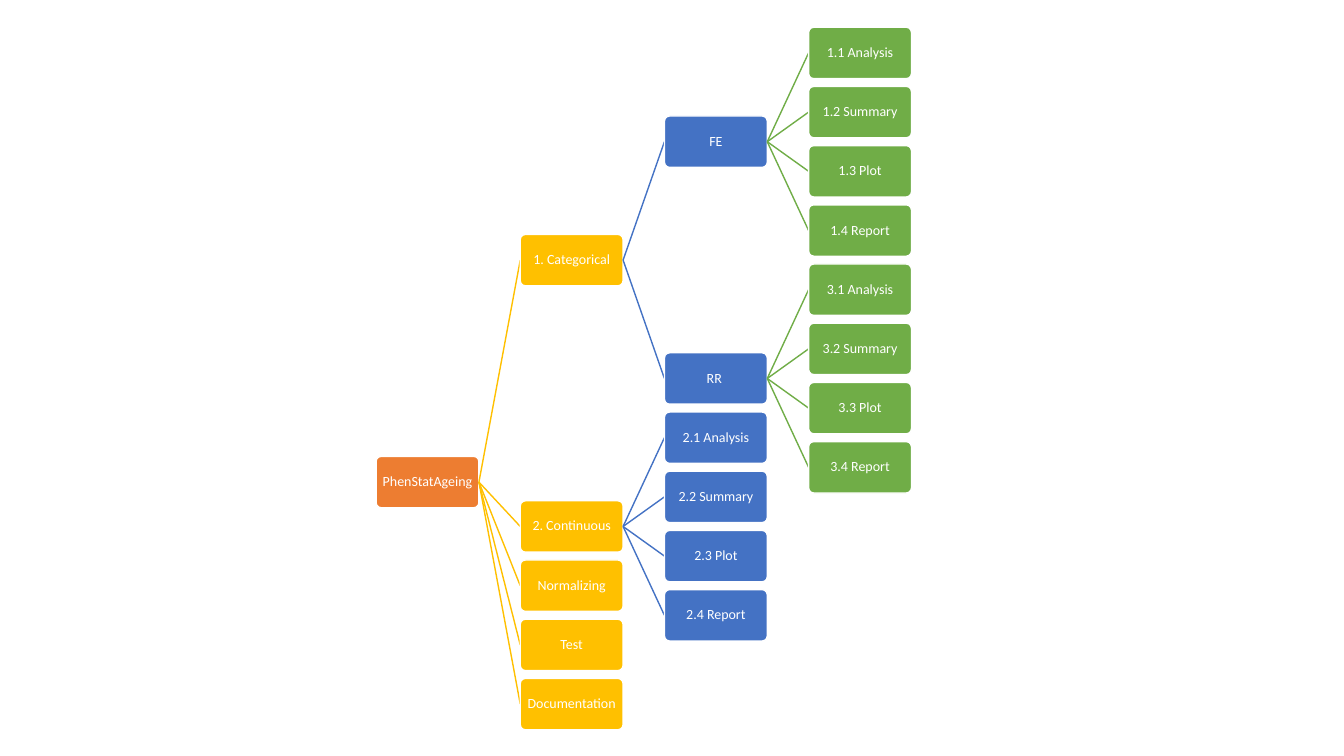
from dataclasses import dataclass

from pptx import Presentation
from pptx import util as u
from pptx.dml.color import RGBColor
from pptx.enum import shapes, text
from pptx.oxml.ns import qn
from lxml import etree

# Content: each node is (label, children)
TREE = ("PhenStatAgeing", [
    ("1. Categorical", [
        ("FE", [("1.1 Analysis", []), ("1.2 Summary", []),
                ("1.3 Plot", []), ("1.4 Report", [])]),
        ("RR ", [("3.1 Analysis", []), ("3.2 Summary", []),
                 ("3.3 Plot", []), ("3.4 Report", [])]),
    ]),
    ("2. Continuous", [("2.1 Analysis", []), ("2.2 Summary", []),
                       ("2.3 Plot", []), ("2.4 Report", [])]),
    ("Normalizing", []),
    ("Test", []),
    ("Documentation", []),
])


@dataclass
class Theme:
    levels: tuple = ("ED7D31", "FFC000", "4472C4", "70AD47")
    white: str = "FFFFFF"
    font: str = "Calibri"
    size: int = 10
    line: int = 1


THEME = Theme()

# Grid in inches: one column per level, twelve rows
LEFT, TOP, LAST_TOP, ROWS = 3.73, 0.27, 6.73, 12
BOX_WIDTH, BOX_HEIGHT, INSET = 1.02, 0.51, 0.01
COLUMN_STEP = 1.43
ROW_STEP = (LAST_TOP - TOP) / (ROWS - 1)


def arrange(node, level, next_row):
    """Put leaves in the next free row and parents midway between their children."""
    label, children = node
    placed = [arrange(child, level + 1, next_row) for child in children]
    row = (placed[0]["row"] + placed[-1]["row"]) / 2 if placed else next_row[level]
    next_row[level] = row + 1
    return {"label": label, "level": level, "row": row, "children": placed}


def corner(node):
    return LEFT + node["level"] * COLUMN_STEP, TOP + node["row"] * ROW_STEP


def level_color(node):
    return RGBColor.from_string(THEME.levels[node["level"]])


def draw_branch(slide, parent, child):
    parent_left, parent_top = corner(parent)
    child_left, child_top = corner(child)
    ends = (parent_left + BOX_WIDTH, parent_top + BOX_HEIGHT / 2,
            child_left, child_top + BOX_HEIGHT / 2)
    connector = slide.shapes.add_connector(
        shapes.MSO_CONNECTOR.STRAIGHT, *[u.Inches(value) for value in ends])
    connector.line.color.rgb = level_color(child)
    connector.line.width = u.Pt(THEME.line)
    etree.SubElement(connector._element.spPr, qn("a:effectLst"))


def draw_box(slide, node):
    left, top = corner(node)
    shape = slide.shapes.add_shape(
        shapes.MSO_SHAPE.ROUNDED_RECTANGLE,
        *[u.Inches(value) for value in (left, top, BOX_WIDTH, BOX_HEIGHT)])
    white = RGBColor.from_string(THEME.white)
    shape.adjustments[0] = 0.1
    shape.shadow.inherit = False
    shape.fill.solid()
    shape.fill.fore_color.rgb = level_color(node)
    shape.line.color.rgb = white
    shape.line.width = u.Pt(THEME.line)

    frame = shape.text_frame
    frame.word_wrap = True
    frame.vertical_anchor = text.MSO_ANCHOR.MIDDLE
    frame.margin_left = frame.margin_right = u.Inches(INSET)
    frame.margin_top = frame.margin_bottom = u.Inches(INSET)
    paragraph = frame.paragraphs[0]
    paragraph.alignment = text.PP_ALIGN.CENTER
    paragraph.line_spacing = 0.9
    run = paragraph.add_run()
    run.text = node["label"]
    run.font.name = THEME.font
    run.font.size = u.Pt(THEME.size)
    run.font.color.rgb = white


def draw_tree(slide, node):
    draw_box(slide, node)
    for child in node["children"]:
        draw_branch(slide, node, child)
        draw_tree(slide, child)


# Slide
presentation = Presentation()
presentation.slide_width = u.Inches(13.33)
presentation.slide_height = u.Inches(7.5)
slide = presentation.slides.add_slide(presentation.slide_layouts[6])
draw_tree(slide, arrange(TREE, 0, [0] * len(THEME.levels)))
presentation.save("out.pptx")
